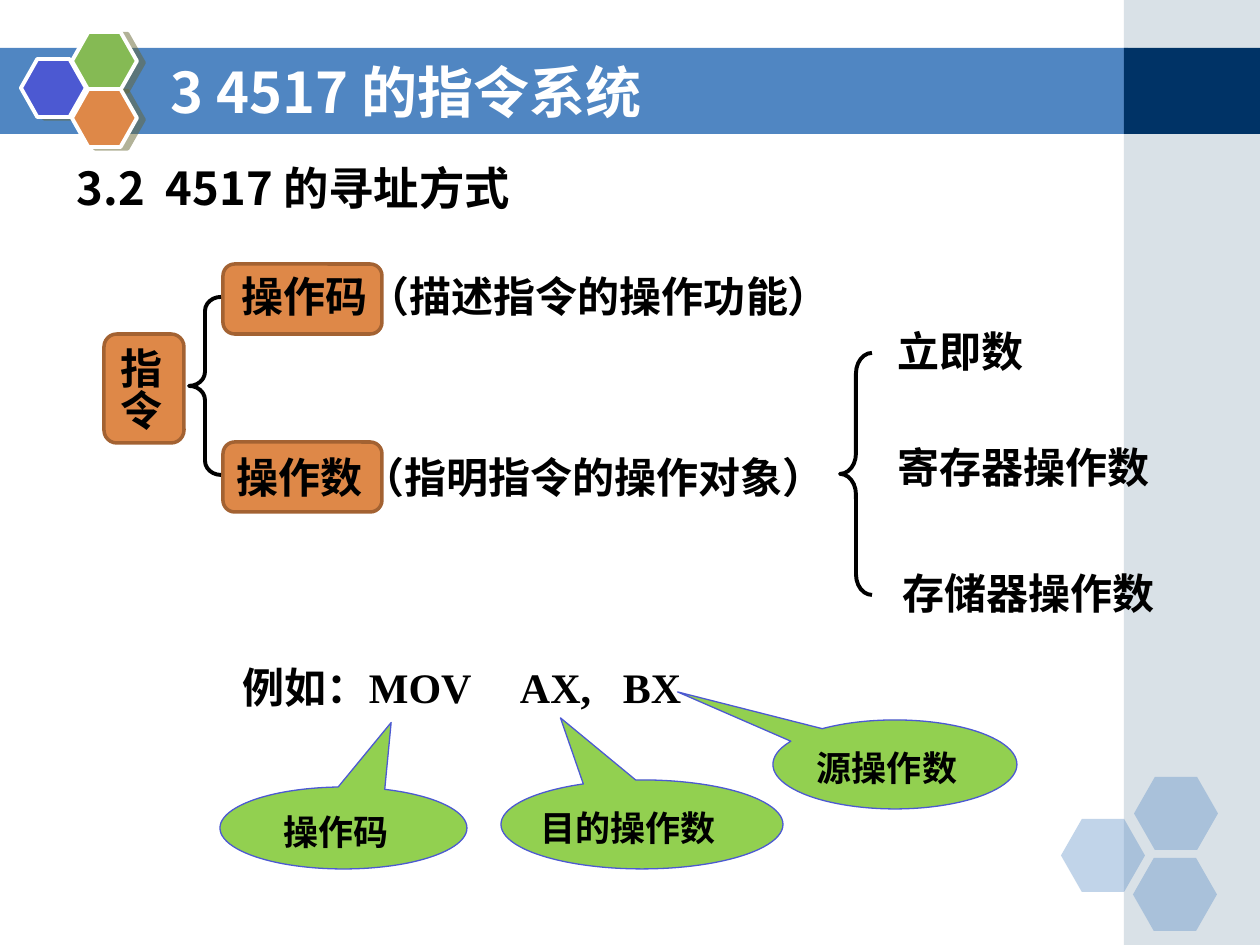
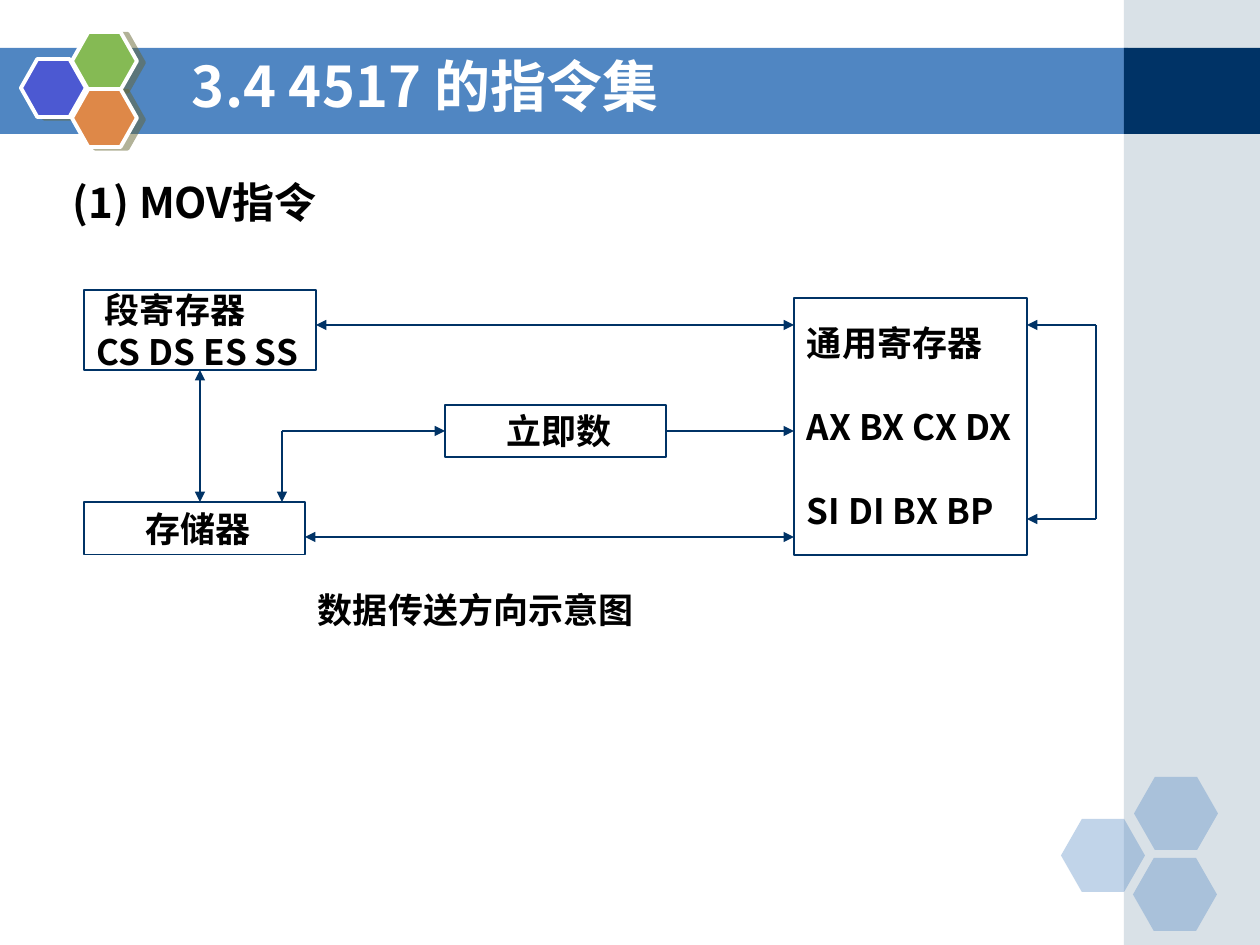
from lxml import etree
from pptx import Presentation
from pptx.dml.color import RGBColor
from pptx.enum.shapes import MSO_CONNECTOR, MSO_SHAPE
from pptx.enum.text import MSO_ANCHOR, MSO_AUTO_SIZE, PP_ALIGN
from pptx.oxml.ns import qn
from pptx.util import Pt

RECTANGLE = MSO_SHAPE.RECTANGLE
ROUNDED = MSO_SHAPE.ROUNDED_RECTANGLE
HEXAGON = MSO_SHAPE.HEXAGON
BRACE = MSO_SHAPE.LEFT_BRACE
CALLOUT = MSO_SHAPE.OVAL_CALLOUT
STRAIGHT = MSO_CONNECTOR.STRAIGHT
LEFT, CENTER = PP_ALIGN.LEFT, PP_ALIGN.CENTER
MIDDLE = MSO_ANCHOR.MIDDLE
NO_AUTOFIT = MSO_AUTO_SIZE.NONE
LEFT_SIDE, BOTTOM_SIDE, RIGHT_SIDE = 1, 2, 3

PX = 7257
SANS = "Noto Sans CJK SC"
SERIF = "Times New Roman"

BLACK = RGBColor(0x00, 0x00, 0x00)
WHITE = RGBColor(0xFF, 0xFF, 0xFF)
BAND_BLUE = RGBColor(0x50, 0x86, 0xC2)
SIDE_GREY = RGBColor(0xA0, 0xB5, 0xC4)
NAVY = RGBColor(0x00, 0x33, 0x66)
VIOLET = RGBColor(0x4C, 0x59, 0xD2)
LEAF = RGBColor(0x85, 0xBA, 0x54)
ORANGE = RGBColor(0xDE, 0x88, 0x48)
BROWN = RGBColor(0xA3, 0x62, 0x32)
LIME = RGBColor(0x92, 0xD0, 0x50)


def write(shape, text, size=20, font=SANS, color=BLACK, align=LEFT, margin=13,
          line=None, gap=0, tabs=()):
    frame = shape.text_frame
    frame.auto_size = NO_AUTOFIT
    frame.word_wrap = True
    frame.vertical_anchor = MIDDLE
    frame.margin_left = frame.margin_right = margin * PX
    frame.margin_top = frame.margin_bottom = 0
    for index, content in enumerate(text.split("\n")):
        paragraph = frame.add_paragraph() if index else frame.paragraphs[0]
        paragraph.alignment = align
        if line:
            paragraph.line_spacing = Pt(line)
        if index and gap:
            paragraph.space_before = Pt(gap)
        run = paragraph.add_run()
        run.text = content
        run.font.size = Pt(size)
        run.font.bold = True
        run.font.name = font
        run.font.color.rgb = color
        etree.SubElement(run._r.get_or_add_rPr(), qn("a:ea"), typeface=SANS)
        if tabs:
            tab_list = etree.SubElement(paragraph._p.get_or_add_pPr(), qn("a:tabLst"))
            for stop in tabs:
                etree.SubElement(tab_list, qn("a:tab"), pos=str(stop * PX), algn="l")


def draw(slide, kind, box, fill=None, line=None, width=0.75, alpha=None, adjust=()):
    shape = slide.shapes.add_shape(kind, *(length * PX for length in box))
    shape.shadow.inherit = False
    for index, value in enumerate(adjust):
        shape.adjustments[index] = value
    if fill is None:
        shape.fill.background()
    else:
        shape.fill.solid()
        shape.fill.fore_color.rgb = fill
    if alpha:
        color = shape.element.spPr.find(".//" + qn("a:srgbClr"))
        etree.SubElement(color, qn("a:alpha"), val=str(alpha * 1000))
    if line is None:
        shape.line.fill.background()
    else:
        shape.line.color.rgb = line
        shape.line.width = Pt(width)
    return shape


presentation = Presentation()
presentation.slide_width = 1260 * PX
presentation.slide_height = 945 * PX
layout = presentation.slide_layouts[5]
addressing = presentation.slides.add_slide(layout)
instructions = presentation.slides.add_slide(layout)

template_shapes = [
    draw(addressing, RECTANGLE, (0, 48, 1128, 86), BAND_BLUE),
    draw(addressing, RECTANGLE, (1124, 0, 136, 945), SIDE_GREY, alpha=40),
    draw(addressing, RECTANGLE, (1124, 48, 136, 86), NAVY),
]
for left, top in ((1061, 819), (1134, 777), (1133, 858)):
    template_shapes.append(draw(addressing, HEXAGON, (left, top, 84, 73), BAND_BLUE,
                                alpha=35, adjust=(0.286, 1.155)))
for left, top, color in ((21, 59, VIOLET), (72, 32, LEAF), (72, 89, ORANGE)):
    hexagon = draw(addressing, HEXAGON, (left, top, 65, 58), color, WHITE, 2.25,
                   adjust=(0.283, 1.155))
    effects = hexagon.element.spPr.find(qn("a:effectLst"))
    shadow = etree.SubElement(effects, qn("a:outerShdw"), blurRad="0", dist="52070",
                              dir="840000", algn="ctr", rotWithShape="0")
    shade = etree.SubElement(shadow, qn("a:srgbClr"), val="666633")
    etree.SubElement(shade, qn("a:alpha"), val="50000")
    template_shapes.append(hexagon)
for number, shape in enumerate(template_shapes, 100):
    shape.element.find(".//" + qn("p:cNvPr")).set("id", str(number))
    layout.shapes.element.append(shape.element)

for slide, title_text, left, top in (
    (addressing, "3 4517 的指令系统", 158, 52),
    (instructions, "3.4 4517 的指令集", 179, 46),
):
    title = slide.shapes.title
    title.left, title.top = left * PX, top * PX
    title.width, title.height = 924 * PX, 78 * PX
    write(title, title_text, size=32, color=WHITE)

heading = addressing.shapes.add_textbox(64 * PX, 152 * PX, 932 * PX, 70 * PX)
write(heading, "3.2  4517 的寻址方式", size=25.9)

for text, box, tip, center, label_top in (
    ("操作码", (220, 787, 247, 82), (0.193, -1.287), 336, 804),
    ("目的操作数", (501, 780, 282, 89), (-0.289, -1.198), 628, 800),
    ("源操作数", (773, 720, 244, 89), (-0.891, -0.815), 887, 740),
):
    draw(addressing, CALLOUT, box, LIME, VIOLET, adjust=tip)
    label = addressing.shapes.add_textbox((center - 105) * PX, label_top * PX, 210 * PX, 55 * PX)
    write(label, text, font=SERIF, align=CENTER, margin=0)

instruction = draw(addressing, ROUNDED, (104, 334, 80, 109), ORANGE, BROWN, 2, adjust=(0.16,))
write(instruction, "指令", size=24, font="Arial", margin=0)
instruction.text_frame.margin_top = 10 * PX
instruction.text_frame.margin_right = 8 * PX
instruction.element.find(".//" + qn("a:bodyPr")).set("vert", "eaVert")
for top in (264, 442):
    draw(addressing, ROUNDED, (223, top, 159, 70), ORANGE, BROWN, 2, adjust=(0.167,))
for box, curve in (((189, 297, 32, 178), 0.44), ((840, 353, 32, 242), 0.64)):
    draw(addressing, BRACE, box, line=BLACK, width=2.25, adjust=(curve, 0.5))

for text, center, top in (
    ("操作码（描述指令的操作功能）", 536, 249),
    ("操作数（指明指令的操作对象）", 531, 430),
    ("立即数", 961, 304),
    ("寄存器操作数", 1024, 420),
    ("存储器操作数", 1029, 546),
):
    width = 42 * len(text) + 40
    label = addressing.shapes.add_textbox((center - width // 2) * PX, top * PX,
                                          width * PX, 94 * PX)
    write(label, text, size=24, font=SERIF, align=CENTER, margin=0)
example = addressing.shapes.add_textbox(243 * PX, 640 * PX, 500 * PX, 94 * PX)
write(example, "例如：MOV\tAX,\tBX", size=24, font=SERIF, margin=0, tabs=(277, 380))

heading = instructions.shapes.add_textbox(60 * PX, 165 * PX, 441 * PX, 73 * PX)
write(heading, "(1) MOV指令", size=24)

nodes = {}
for name, text, box, align, gap in (
    ("segment", " 段寄存器\nCS DS ES SS", (84, 290, 232, 80), LEFT, 0),
    ("memory", " 存储器", (84, 502, 221, 53), CENTER, 0),
    ("immediate", " 立即数", (445, 405, 221, 52), CENTER, 0),
    ("general", "通用寄存器\nAX BX CX DX\nSI DI BX BP", (794, 298, 233, 257), LEFT, 24),
):
    nodes[name] = draw(instructions, RECTANGLE, box, line=NAVY)
    write(nodes[name], text, align=align, line=24, gap=gap)

links = {}
for name, ends, arrows in (
    ("segment-memory", (200, 370, 200, 502), ("headEnd", "tailEnd")),
    ("memory-general", (305, 537, 794, 537), ("headEnd", "tailEnd")),
    ("immediate-general", (666, 431, 794, 431), ("tailEnd",)),
    ("corner-memory", (282, 431, 282, 502), ("tailEnd",)),
    ("segment-general", (316, 325, 794, 325), ("headEnd", "tailEnd")),
    ("corner-immediate", (282, 431, 445, 431), ("tailEnd",)),
    ("loop side", (1096, 325, 1096, 519), ()),
    ("loop top", (1027, 325, 1096, 325), ("headEnd",)),
    ("loop bottom", (1027, 519, 1096, 519), ("headEnd",)),
):
    link = instructions.shapes.add_connector(STRAIGHT, *(length * PX for length in ends))
    link.line.color.rgb = NAVY
    link.line.width = Pt(0.75)
    outline = link.element.find(".//" + qn("a:ln"))
    for arrow in arrows:
        etree.SubElement(outline, qn("a:" + arrow), type="triangle")
    etree.SubElement(link.element.spPr, qn("a:effectLst"))
    links[name] = link
links["segment-memory"].begin_connect(nodes["segment"], BOTTOM_SIDE)
links["immediate-general"].begin_connect(nodes["immediate"], RIGHT_SIDE)
links["corner-immediate"].end_connect(nodes["immediate"], LEFT_SIDE)

caption = instructions.shapes.add_textbox(305 * PX, 582 * PX, 535 * PX, 55 * PX)
write(caption, "数据传送方向示意图")

presentation.save("out.pptx")
